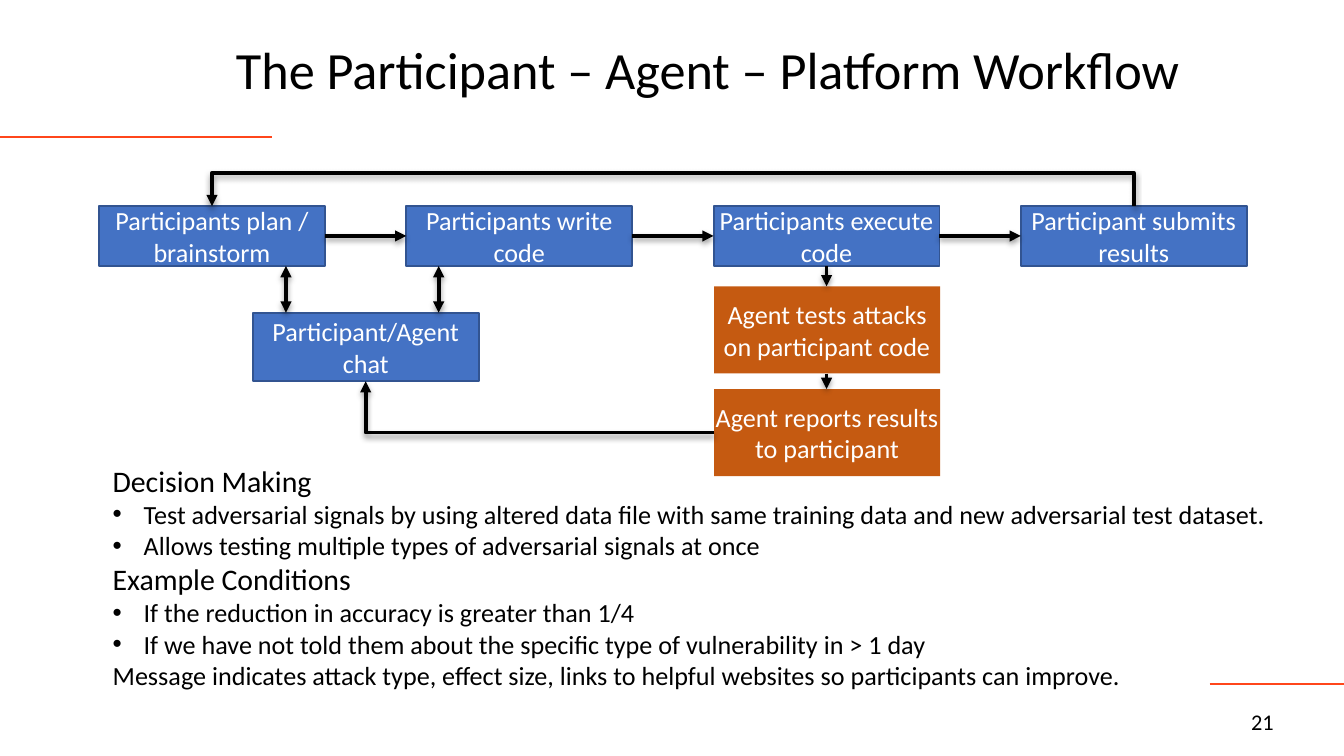
from dataclasses import dataclass

import pptx
import pptx.dml.color
import pptx.enum.shapes
import pptx.enum.text
import pptx.oxml
import pptx.oxml.ns
import pptx.util
from lxml import etree

Pt = pptx.util.Pt
qn = pptx.oxml.ns.qn
ALIGN = pptx.enum.text.PP_ALIGN
ANCHOR = pptx.enum.text.MSO_ANCHOR
CONNECTOR = pptx.enum.shapes.MSO_CONNECTOR

FONT = "Calibri"
COLORS = {
    "text": "000000",
    "white": "FFFFFF",
    "participant": "4472C4",
    "border": "325491",
    "agent": "C55A11",
    "rule": "FF461B",
}


@dataclass(frozen=True)
class Box:
    text: str
    left: float
    top: float
    height: float
    fill: str = "participant"
    border: str = "border"
    width: float = 121

    @property
    def right(self) -> float:
        return self.left + self.width

    @property
    def bottom(self) -> float:
        return self.top + self.height

    @property
    def center(self) -> float:
        return self.left + self.width / 2

    @property
    def middle(self) -> float:
        return self.top + self.height / 2


@dataclass(frozen=True)
class Note:
    text: str
    size: int = 14
    bullet: bool = False


def color(name: str):
    return pptx.dml.color.RGBColor.from_string(COLORS[name])


def set_font(paragraph, size: int, name: str = "text") -> None:
    paragraph.font.name = FONT
    paragraph.font.size = Pt(size)
    paragraph.font.color.rgb = color(name)


def draw_box(slide, box: Box) -> None:
    shape = slide.shapes.add_shape(
        pptx.enum.shapes.MSO_SHAPE.RECTANGLE,
        Pt(box.left), Pt(box.top), Pt(box.width), Pt(box.height))
    shape.shadow.inherit = False
    shape.fill.solid()
    shape.fill.fore_color.rgb = color(box.fill)
    if box.border:
        shape.line.color.rgb = color(box.border)
        shape.line.width = Pt(1)
    else:
        shape.line.fill.background()
    frame = shape.text_frame
    frame.word_wrap = True
    frame.vertical_anchor = ANCHOR.MIDDLE
    frame.margin_left = frame.margin_right = frame.margin_top = frame.margin_bottom = 0
    paragraph = frame.paragraphs[0]
    paragraph.text = box.text
    paragraph.alignment = ALIGN.CENTER
    set_font(paragraph, 14, "white")


def draw_line(slide, start: tuple, end: tuple, name: str, width: float,
              kind=CONNECTOR.STRAIGHT):
    connector = slide.shapes.add_connector(kind, *map(Pt, start + end))
    connector.line.color.rgb = color(name)
    connector.line.width = Pt(width)
    effects = etree.SubElement(connector._element.spPr, qn("a:effectLst"))
    return connector, effects


def draw_arrow(slide, start: tuple, end: tuple, double: bool = False,
               kind=CONNECTOR.STRAIGHT):
    connector, effects = draw_line(slide, start, end, "text", 2, kind)
    line = connector.line._get_or_add_ln()
    for tag in ("a:headEnd", "a:tailEnd") if double else ("a:tailEnd",):
        etree.SubElement(line, qn(tag), type="triangle")
    shadow = etree.SubElement(
        effects, qn("a:outerShdw"), blurRad=str(Pt(3.1)), dist=str(Pt(1.6)),
        dir="5400000", rotWithShape="0")
    shade = etree.SubElement(shadow, qn("a:srgbClr"), val=COLORS["text"])
    etree.SubElement(shade, qn("a:alpha"), val="38000")
    return connector


def bend(connector, preset: str, degrees: int, flip: bool = False,
         adjustment: float | None = None) -> None:
    """Choose the elbow form of a connector and turn it about its center."""
    properties = connector._element.spPr
    transform = properties.find(qn("a:xfrm"))
    transform.set("rot", str(degrees * 60000))
    if flip:
        transform.set("flipH", "1")
        transform.set("flipV", "1")
    geometry = properties.find(qn("a:prstGeom"))
    geometry.set("prst", preset)
    if adjustment is not None:
        guides = geometry.find(qn("a:avLst"))
        if guides is None:
            guides = etree.SubElement(geometry, qn("a:avLst"))
        etree.SubElement(guides, qn("a:gd"), name="adj1",
                         fmla=f"val {round(adjustment * 100000)}")


def draw_notes(slide, notes: list[Note]) -> None:
    frame = slide.shapes.add_textbox(Pt(53.3), Pt(244.1), Pt(643), Pt(131)).text_frame
    frame.word_wrap = True
    frame.auto_size = pptx.enum.text.MSO_AUTO_SIZE.SHAPE_TO_FIT_TEXT
    for index, note in enumerate(notes):
        paragraph = frame.add_paragraph() if index else frame.paragraphs[0]
        paragraph.text = note.text
        if note.bullet:
            properties = paragraph._p.get_or_add_pPr()
            properties.set("marL", str(Pt(16.6)))
            properties.set("indent", str(Pt(-16.6)))
            etree.SubElement(properties, qn("a:buFont"), typeface="Arial")
            etree.SubElement(properties, qn("a:buChar"), char="•")
        set_font(paragraph, note.size)


def main() -> None:
    presentation = pptx.Presentation()
    presentation.slide_width, presentation.slide_height = Pt(720), Pt(405)
    slide = presentation.slides.add_slide(presentation.slide_layouts[5])

    # Title and decorative rules
    title = slide.shapes.title
    title.left, title.top, title.width, title.height = map(Pt, (73.4, 2.9, 611.3, 67.7))
    title.text_frame.vertical_anchor = ANCHOR.MIDDLE
    heading = title.text_frame.paragraphs[0]
    heading.text = "The Participant – Agent – Platform Workflow"
    heading.alignment = ALIGN.CENTER
    set_font(heading, 28)
    draw_line(slide, (0, 73.4), (145.6, 73.4), "rule", 1)
    draw_line(slide, (648, 366.5), (720, 366.5), "rule", 1)

    # Workflow boxes
    labels = ["Participants plan / brainstorm", "Participants write code",
              "Participants execute code", "Participant submits results"]
    steps = [Box(label, 53.1 + 164.6 * index, 110.3, 32.2)
             for index, label in enumerate(labels)]
    plan, write, execute, submit = steps
    chat = Box("Participant/Agent chat", 135.4, 167.5, 36.7)
    attack = Box("Agent tests attacks on participant code",
                 execute.left + 0.3, 153.4, 46.7, "agent", "")
    report = Box("Agent reports results to participant",
                 execute.left + 0.3, 208.4, 46.7, "agent", "")
    for box in (*steps, chat, attack, report):
        draw_box(slide, box)

    # Straight arrows
    for source, target in zip(steps, steps[1:]):
        draw_arrow(slide, (source.right, source.middle), (target.left, source.middle))
    for source, target in ((execute, attack), (attack, report)):
        draw_arrow(slide, (execute.center, source.bottom), (execute.center, target.top))
    for x in (153.2, 235):
        draw_arrow(slide, (x, plan.bottom), (x, chat.top), double=True)

    # Return arrow over the top row: a thin box, turned by a quarter
    span, depth, rise = submit.center - plan.center, 0.2, 17.8
    x, y = (plan.center + submit.center) / 2, plan.top
    loop = draw_arrow(slide, (x - depth / 2, y - span / 2),
                      (x + depth / 2, y + span / 2), kind=CONNECTOR.ELBOW)
    bend(loop, "bentConnector3", 270, flip=True, adjustment=-rise / depth)

    # Feedback arrow from the report to the chat
    feedback = draw_arrow(slide, (chat.center, chat.bottom),
                          (report.left, report.middle), kind=CONNECTOR.ELBOW)
    bend(feedback, "bentConnector2", 180)

    # Notes and page number
    draw_notes(slide, [
        Note("Decision Making", 16),
        Note("Test adversarial signals by using altered data file with same "
             "training data and new adversarial test dataset.", bullet=True),
        Note("Allows testing multiple types of adversarial signals at once", bullet=True),
        Note("Example Conditions", 16),
        Note("If the reduction in accuracy is greater than 1/4", bullet=True),
        Note("If we have not told them about the specific type of vulnerability "
             "in > 1 day", bullet=True),
        Note("Message indicates attack type, effect size, links to helpful "
             "websites so participants can improve."),
    ])
    number = slide.shapes.add_textbox(Pt(663.1), Pt(375.8), Pt(36.7), Pt(21.6))
    number.text_frame.word_wrap = True
    number.text_frame.margin_bottom = 0
    number.text_frame.text = "21"
    set_font(number.text_frame.paragraphs[0], 12)
    presentation.save("out.pptx")


if __name__ == "__main__":
    main()
